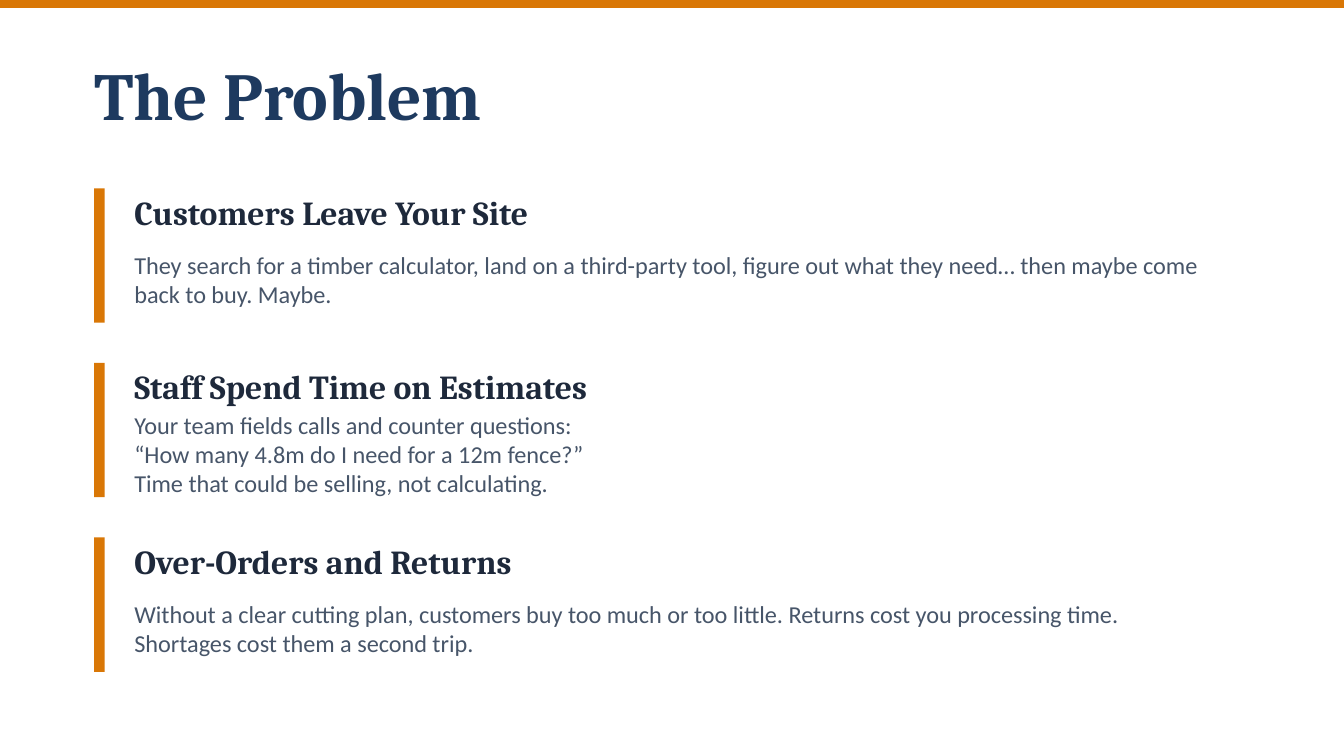
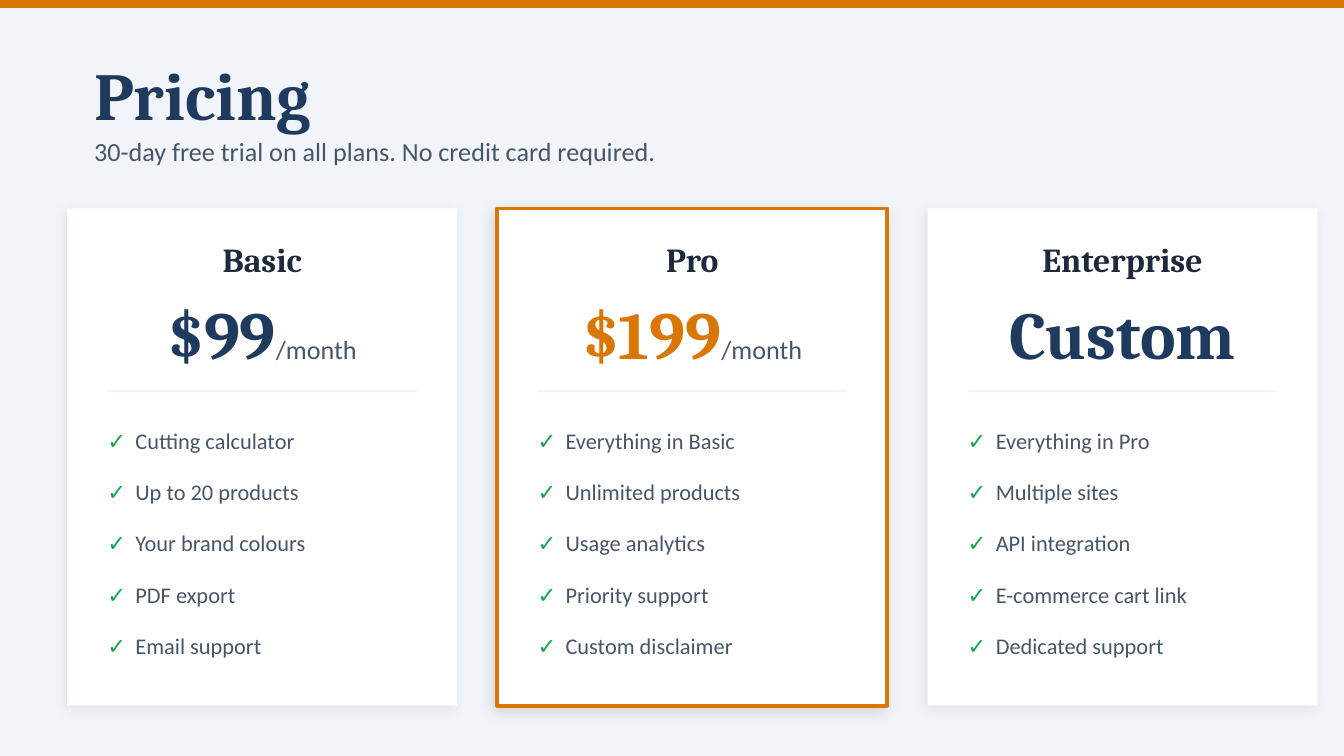
from lxml import etree
from pptx import Presentation
from pptx import util as u
from pptx.dml.color import RGBColor
from pptx.enum import shapes, text
from pptx.oxml import ns

COLORS = {
    "accent": "D97706",
    "navy": "1E3A5F",
    "heading": "1E293B",
    "body": "475569",
    "check": "16A34A",
    "pale": "F1F5F9",
    "white": "FFFFFF",
    "shadow": "000000",
}
SERIF = "Cambria"
SANS = "Calibri"
SLIDE_WIDTH, SLIDE_HEIGHT = 25.4, 14.29
MARGIN = 1.78
TEXT_WIDTH = 20.32
LINE_HEIGHT = 0.89

PROBLEMS = [
    ("Customers Leave Your Site", [
        "They search for a timber calculator, land on a third-party tool, "
        "figure out what they need… then maybe come back to buy. Maybe.",
    ]),
    ("Staff Spend Time on Estimates", [
        "Your team fields calls and counter questions:",
        "“How many 4.8m do I need for a 12m fence?”",
        "Time that could be selling, not calculating.",
    ]),
    ("Over-Orders and Returns", [
        "Without a clear cutting plan, customers buy too much or too little. "
        "Returns cost you processing time. Shortages cost them a second trip.",
    ]),
]

PLANS = [
    ("Basic", "$99", "/month", [
        "Cutting calculator", "Up to 20 products", "Your brand colours",
        "PDF export", "Email support"]),
    ("Pro", "$199", "/month", [
        "Everything in Basic", "Unlimited products", "Usage analytics",
        "Priority support", "Custom disclaimer"]),
    ("Enterprise", "Custom", None, [
        "Everything in Pro", "Multiple sites", "API integration",
        "E-commerce cart link", "Dedicated support"]),
]
FEATURED_PLAN = "Pro"


def rgb(color):
    return RGBColor.from_string(COLORS[color])


def add_run(paragraph, content, size=13, font=SANS, color="body", bold=False):
    run = paragraph.add_run()
    run.text = content
    run.font.size = u.Pt(size)
    run.font.name = font
    run.font.bold = bold
    run.font.color.rgb = rgb(color)


def add_text(slide, content, left, top, width, height, centered=False, **style):
    box = slide.shapes.add_textbox(u.Cm(left), u.Cm(top), u.Cm(width), u.Cm(height))
    frame = box.text_frame
    frame.word_wrap = True
    frame.vertical_anchor = text.MSO_ANCHOR.MIDDLE
    frame.margin_left = frame.margin_right = frame.margin_top = frame.margin_bottom = 0
    lines = [content] if isinstance(content, str) else content
    for index, line in enumerate(lines):
        paragraph = frame.add_paragraph() if index else frame.paragraphs[0]
        if centered:
            paragraph.alignment = text.PP_ALIGN.CENTER
        add_run(paragraph, line, **style)
    return frame.paragraphs[0]


def add_rectangle(slide, left, top, width, height, fill, outline=None):
    shape = slide.shapes.add_shape(
        shapes.MSO_SHAPE.RECTANGLE, u.Cm(left), u.Cm(top), u.Cm(width), u.Cm(height))
    shape.shadow.inherit = False
    shape.fill.solid()
    shape.fill.fore_color.rgb = rgb(fill)
    if outline:
        shape.line.color.rgb = rgb(outline)
        shape.line.width = u.Pt(2)
    else:
        shape.line.fill.background()
    return shape


def add_shadow(shape, opacity, blur, distance):
    effects = shape.element.spPr.find(ns.qn("a:effectLst"))
    shadow = etree.SubElement(
        effects, ns.qn("a:outerShdw"), blurRad=str(u.Pt(blur)),
        dist=str(u.Pt(distance)), dir=str(135 * 60000), algn="bl", rotWithShape="0")
    color = etree.SubElement(shadow, ns.qn("a:srgbClr"), val=COLORS["shadow"])
    etree.SubElement(color, ns.qn("a:alpha"), val=str(opacity * 1000))


def add_slide(presentation, title, background):
    slide = presentation.slides.add_slide(presentation.slide_layouts[6])
    slide.background.fill.solid()
    slide.background.fill.fore_color.rgb = rgb(background)
    add_rectangle(slide, 0, 0, SLIDE_WIDTH, 0.15, "accent")
    add_text(slide, title, MARGIN, 0.89, TEXT_WIDTH, 1.78,
             size=36, font=SERIF, color="navy", bold=True)
    return slide


def add_heading(slide, content, left, top, width, centered=False):
    add_text(slide, content, left, top, width, LINE_HEIGHT, centered=centered,
             size=18, font=SERIF, color="heading", bold=True)


def add_problem(slide, top, heading, lines):
    add_rectangle(slide, MARGIN, top, 0.2, 2.54, "accent")
    add_heading(slide, heading, 2.54, top, TEXT_WIDTH)
    add_text(slide, lines, 2.54, top + LINE_HEIGHT, TEXT_WIDTH, 1.65)


def add_feature(slide, feature, left, top, width):
    paragraph = add_text(slide, "✓", left, top, width, LINE_HEIGHT,
                         size=12, color="check", bold=True)
    add_run(paragraph, "\t" + feature, size=12)
    indent = u.Cm(0.53)
    properties = paragraph._p.get_or_add_pPr()
    properties.set("marL", str(indent))
    properties.set("indent", str(-indent))


def add_plan(slide, left, name, price, period, features):
    top, width, padding = 3.94, 7.37, 0.76
    featured = name == FEATURED_PLAN
    card = add_rectangle(slide, left, top, width, 9.4, "white",
                         outline="accent" if featured else None)
    if featured:
        add_shadow(card, opacity=12, blur=8, distance=3)
    else:
        add_shadow(card, opacity=8, blur=6, distance=2)
    add_heading(slide, name, left, top + 0.51, width, centered=True)
    paragraph = add_text(slide, price, left, top + 1.52, width, 1.65, centered=True,
                         size=36, font=SERIF, bold=True,
                         color="accent" if featured else "navy")
    if period:
        add_run(paragraph, period, size=14)
    inner_left, inner_width = left + padding, width - 2 * padding
    add_rectangle(slide, inner_left, top + 3.43, inner_width, 0.05, "pale")
    for row, feature in enumerate(features):
        add_feature(slide, feature, inner_left, top + 3.94 + row * 0.97, inner_width)


def build_problem_slide(presentation):
    slide = add_slide(presentation, "The Problem", "white")
    for row, problem in enumerate(PROBLEMS):
        add_problem(slide, 3.56 + row * 3.3, *problem)


def build_pricing_slide(presentation):
    slide = add_slide(presentation, "Pricing", "pale")
    add_text(slide, "30-day free trial on all plans. No credit card required.",
             MARGIN, 2.41, TEXT_WIDTH, LINE_HEIGHT, size=14)
    for column, plan in enumerate(PLANS):
        add_plan(slide, 1.27 + column * 8.13, *plan)


def main():
    presentation = Presentation()
    presentation.slide_width = u.Cm(SLIDE_WIDTH)
    presentation.slide_height = u.Cm(SLIDE_HEIGHT)
    build_problem_slide(presentation)
    build_pricing_slide(presentation)
    presentation.save("out.pptx")


if __name__ == "__main__":
    main()
